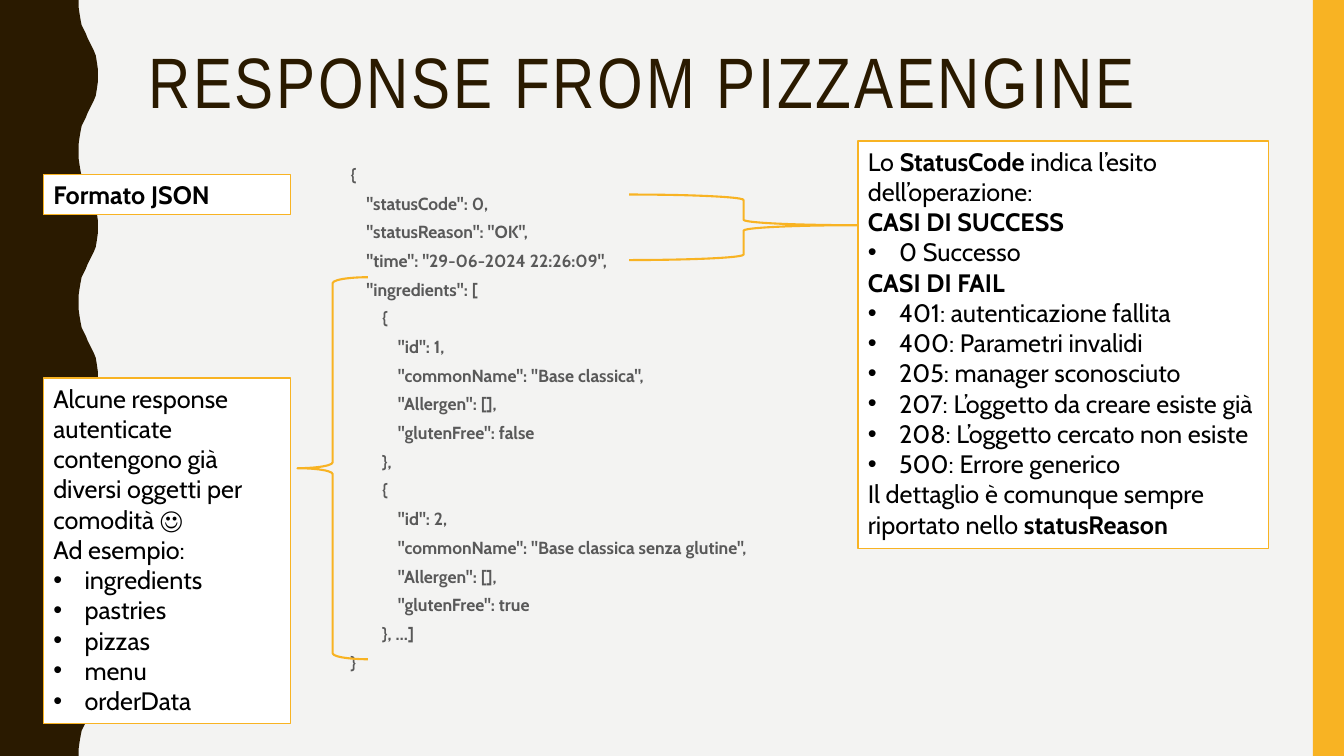
from lxml import etree
from pptx import Presentation
from pptx.dml.color import RGBColor
from pptx.enum import shapes, text
from pptx.oxml import ns
from pptx.util import Inches, Pt

WIDTH, HEIGHT = 13.33, 7.5
BROWN, GOLD, PAPER, GREY = "2A1A00", "F8B323", "F3F3F2", "595959"
WHITE, BLACK = "FFFFFF", "000000"

TITLE = "RESPONSE FROM PIZZAENGINE"
JSON_CODE = """{
    "statusCode": 0,
    "statusReason": "OK",
    "time": "29-06-2024 22:26:09",
    "ingredients": [
        {
            "id": 1,
            "commonName": "Base classica",
            "Allergen": [],
            "glutenFree": false
        },
        {
            "id": 2,
            "commonName": "Base classica senza glutine",
            "Allergen": [],
            "glutenFree": true
        }, …]
}"""

# Note lines: "• " starts a bullet, ** encloses bold words
STATUS_NOTE = [
    "Lo **StatusCode** indica l’esito dell’operazione:",
    "**CASI DI SUCCESS**",
    "• 0 Successo",
    "**CASI DI FAIL**",
    "• 401: autenticazione fallita",
    "• 400: Parametri invalidi",
    "• 205: manager sconosciuto",
    "• 207: L’oggetto da creare esiste già",
    "• 208: L’oggetto cercato non esiste",
    "• 500: Errore generico",
    "Il dettaglio è comunque sempre riportato nello **statusReason**",
]
OBJECTS_NOTE = [
    "Alcune response autenticate contengono già diversi oggetti per comodità ☺",
    "Ad esempio:",
    "• ingredients",
    "• pastries",
    "• pizzas",
    "• menu",
    "• orderData",
]
NOTES = [
    ((8.51, 1.4, 4.07, 4.04), STATUS_NOTE),
    ((0.43, 3.75, 2.45, 3.43), OBJECTS_NOTE),
    ((0.43, 1.73, 2.45, 0.4), ["**Formato JSON**"]),
]
BRACES = [
    (shapes.MSO_SHAPE.RIGHT_BRACE, (6.24, 1.93, 2.27, 0.65), 0.468),
    (shapes.MSO_SHAPE.LEFT_BRACE, (2.95, 2.75, 0.7, 3.79), 0.5),
]

# Rising half of one wave (x, y); the falling half mirrors it
WAVE_PERIOD = 1.5
WAVE_RISE = [
    (0.78, 0), (0.78, 0.07), (0.79, 0.14), (0.8, 0.2), (0.81, 0.25),
    (0.83, 0.29), (0.85, 0.33), (0.87, 0.38), (0.89, 0.42), (0.91, 0.46),
    (0.93, 0.5), (0.95, 0.55), (0.96, 0.61), (0.97, 0.68), (0.97, 0.75),
]


def color(value):
    return RGBColor.from_string(value)


def paint(shape, fill=None, line=None, width=1):
    shape.shadow.inherit = False
    if fill:
        shape.fill.solid()
        shape.fill.fore_color.rgb = color(fill)
    else:
        shape.fill.background()
    if line:
        shape.line.color.rgb = color(line)
        shape.line.width = Pt(width)
    else:
        shape.line.fill.background()


def set_font(font, name, size, value, bold=None):
    font.name, font.size, font.bold = name, Pt(size), bold
    font.color.rgb = color(value)


def add_preset(slide, kind, box):
    return slide.shapes.add_shape(kind, *map(Inches, box))


def add_text(slide, box, lines, name, size, value, bold=None, before=0):
    frame = slide.shapes.add_textbox(*map(Inches, box)).text_frame
    frame.word_wrap = True
    for i, line in enumerate(lines):
        paragraph = frame.paragraphs[0] if i == 0 else frame.add_paragraph()
        paragraph.add_run().text = line
        paragraph.line_spacing = 0.9
        if i:
            paragraph.space_before = Pt(before)
        set_font(paragraph.font, name, size, value, bold)
    return frame


def add_bullet(paragraph):
    properties = paragraph._p.get_or_add_pPr()
    properties.set("marL", str(Inches(0.31)))
    properties.set("indent", str(-Inches(0.31)))
    bullet_font = etree.SubElement(properties, ns.qn("a:buFont"))
    bullet_font.set("typeface", "Arial")
    etree.SubElement(properties, ns.qn("a:buChar")).set("char", "•")


def add_note(slide, box, lines):
    note = add_preset(slide, shapes.MSO_SHAPE.RECTANGLE, box)
    paint(note, WHITE, GOLD)
    frame = note.text_frame
    frame.word_wrap = True
    frame.auto_size = text.MSO_AUTO_SIZE.SHAPE_TO_FIT_TEXT
    frame.vertical_anchor = text.MSO_ANCHOR.TOP
    for i, line in enumerate(lines):
        paragraph = frame.paragraphs[0] if i == 0 else frame.add_paragraph()
        paragraph.alignment = text.PP_ALIGN.LEFT
        if line.startswith("• "):
            add_bullet(paragraph)
        set_font(paragraph.font, "Cabin", 18, BLACK)
        for part, words in enumerate(line.removeprefix("• ").split("**")):
            if words:
                run = paragraph.add_run()
                run.text = words
                if part % 2:
                    run.font.bold = True


def add_wavy_edge(slide):
    wave = WAVE_RISE + [(x, WAVE_PERIOD - y) for x, y in WAVE_RISE[-2::-1]]
    edge = [(x, y + n * WAVE_PERIOD)
            for n in range(round(HEIGHT / WAVE_PERIOD)) for x, y in wave]
    outline = slide.shapes.build_freeform(0, 0)
    outline.add_line_segments(
        [(Inches(x), Inches(y)) for x, y in edge + [(0, HEIGHT)]], close=True)
    paint(outline.convert_to_shape(), BROWN)


def main():
    deck = Presentation()
    deck.slide_width, deck.slide_height = Inches(WIDTH), Inches(HEIGHT)
    slide = deck.slides.add_slide(deck.slide_layouts[6])
    slide.background.fill.solid()
    slide.background.fill.fore_color.rgb = color(PAPER)

    add_wavy_edge(slide)
    stripe = add_preset(slide, shapes.MSO_SHAPE.RECTANGLE,
                        (WIDTH - 0.31, 0, 0.31, HEIGHT))
    paint(stripe, GOLD)

    title = add_text(slide, (1.37, 0.42, 11.13, 0.98), [TITLE],
                     "Arial Narrow", 51, BROWN)
    title.paragraphs[0].runs[0].font._element.set("spc", "200")
    add_text(slide, (3.38, 1.6, 5.4, 5.49), JSON_CODE.split("\n"),
             "Cabin", 12.5, GREY, bold=True, before=7)

    for kind, box, tip in BRACES:
        brace = add_preset(slide, kind, box)
        paint(brace, line=GOLD, width=1.5)
        brace.adjustments[1] = tip
    for box, lines in NOTES:
        add_note(slide, box, lines)

    deck.save("out.pptx")


if __name__ == "__main__":
    main()
